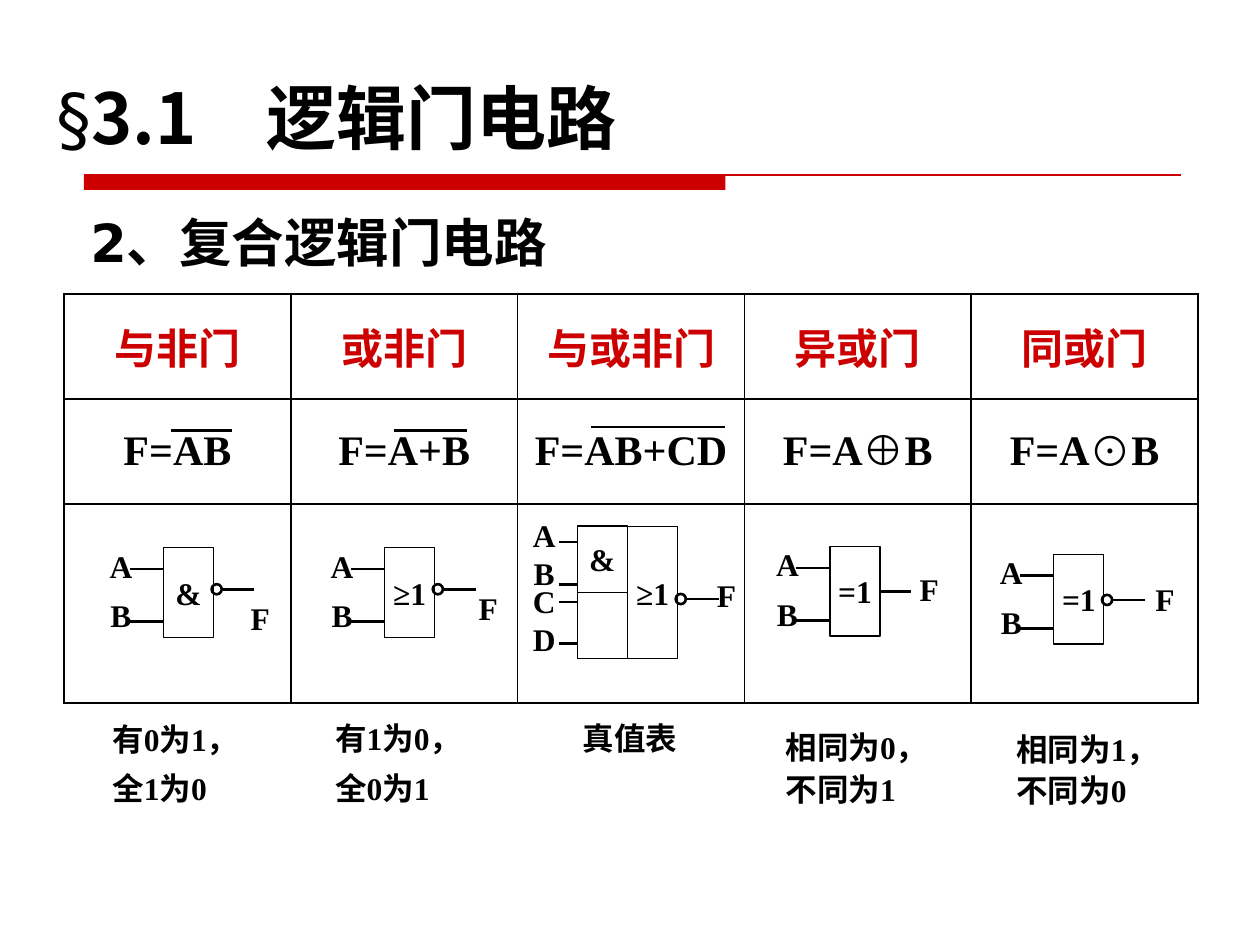
"""Build the slide on compound logic gates: a table of gates with their symbols."""
from dataclasses import dataclass

import lxml.etree
import pptx
import pptx.dml.color
import pptx.enum.shapes
import pptx.enum.text
import pptx.oxml.ns
import pptx.util

Pt = pptx.util.Pt
RGB = pptx.dml.color.RGBColor
SHAPE = pptx.enum.shapes.MSO_SHAPE
ALIGN = pptx.enum.text.PP_ALIGN
ANCHOR = pptx.enum.text.MSO_ANCHOR
qn = pptx.oxml.ns.qn


@dataclass(frozen=True)
class Theme:
    black: RGB = RGB(0, 0, 0)
    red: RGB = RGB(0xCC, 0, 0)
    serif: str = "Times New Roman"
    sans: str = "DejaVu Sans"
    cjk: str = "Noto Sans CJK SC"
    title: int = 40
    subtitle: int = 30
    cell: int = 24
    label: int = 18
    thin: float = 0.75
    grid: float = 1
    wire: float = 1.5


def apply(obj, values):
    for name, value in values.items():
        setattr(obj, name, value)


class Deck:
    def __init__(self, theme):
        self.theme = theme
        self.prs = pptx.Presentation()
        apply(self.prs, {"slide_width": Pt(720), "slide_height": Pt(540)})
        self.s = self.prs.slides.add_slide(self.prs.slide_layouts[6])

    def fill_text(self, tf, paragraphs, para=None, gap=0, **font):
        base = {"name": self.theme.serif, "size": Pt(self.theme.label), "bold": True}
        for i, runs in enumerate(paragraphs):
            p = tf.paragraphs[0] if i == 0 else tf.add_paragraph()
            apply(p, para or {})
            if i:
                p.space_before = Pt(gap)
            for text, own in [(runs, {})] if isinstance(runs, str) else runs:
                r = p.add_run()
                r.text = text
                values = {**base, **font, **own}
                r.font.color.rgb = values.pop("color", self.theme.black)
                apply(r.font, values)

    def text(self, x, y, w, h, paragraphs, anchor=ANCHOR.TOP, **style):
        tf = self.s.shapes.add_textbox(Pt(x), Pt(y), Pt(w), Pt(h)).text_frame
        apply(tf, {"word_wrap": True, "vertical_anchor": anchor})
        self.fill_text(tf, paragraphs, **style)

    def letters(self, x, y, names, spacing=0.8):
        self.text(x, y, 31, 53 if len(names) > 1 else 24.5, names, gap=11.2,
                  para={"alignment": ALIGN.CENTER, "line_spacing": spacing})

    def shape(self, kind, x, y, w, h, width, label=""):
        sp = self.s.shapes.add_shape(kind, Pt(x), Pt(y), Pt(w), Pt(h))
        sp.shadow.inherit = False
        sp.fill.background()
        sp.line.color.rgb = self.theme.black
        sp.line.width = Pt(width)
        if label:
            apply(sp.text_frame, {"word_wrap": False, "vertical_anchor": ANCHOR.MIDDLE})
            self.fill_text(sp.text_frame, [label], para={"alignment": ALIGN.CENTER})
        return sp

    def line(self, x1, x2, y, width=None, color=None):
        kind = pptx.enum.shapes.MSO_CONNECTOR.STRAIGHT
        c = self.s.shapes.add_connector(kind, Pt(x1), Pt(y), Pt(x2), Pt(y))
        c.line.color.rgb = color or self.theme.black
        c.line.width = Pt(width or self.theme.wire)
        lxml.etree.SubElement(c._element.spPr, qn("a:effectLst"))
        return c

    def bar(self, x, y, w, h, color):
        sp = self.shape(SHAPE.RECTANGLE, x, y, w, h, self.theme.thin)
        sp.fill.solid()
        sp.fill.fore_color.rgb = color
        sp.line.fill.background()

    def border(self, cell):
        pr = cell._tc.get_or_add_tcPr()
        for side in ("lnL", "lnR", "lnT", "lnB"):
            ln = lxml.etree.SubElement(pr, qn("a:" + side), w=str(Pt(self.theme.grid)))
            fill = lxml.etree.SubElement(ln, qn("a:solidFill"))
            lxml.etree.SubElement(fill, qn("a:srgbClr"), val=str(self.theme.black))

    def table(self, x, y, col, heights, rows, colors):
        n = len(rows[0])
        frame = self.s.shapes.add_table(len(heights), n, Pt(x), Pt(y),
                                        Pt(col * n), Pt(sum(heights)))
        tbl = frame.table
        apply(tbl, {"first_row": False, "horz_banding": False})
        for c in tbl.columns:
            c.width = Pt(col)
        for i, height in enumerate(heights):
            tbl.rows[i].height = Pt(height)
            for j in range(n):
                cell = tbl.cell(i, j)
                self.border(cell)
                cell.fill.background()
                cell.vertical_anchor = ANCHOR.MIDDLE
                if i < len(rows):
                    self.fill_text(cell.text_frame, [rows[i][j]], color=colors[i],
                                   size=Pt(self.theme.cell),
                                   para={"alignment": ALIGN.CENTER})

    def inputs(self, x, y, names, wires, length, spacing=0.8):
        for dy in wires:
            self.line(x - length, x, y + dy)
        self.letters(x - length - 20.6 if length > 15 else x - 34.4, y, names, spacing)

    def gate(self, x, y, h, label, f_at, out=None):
        body = self.shape(SHAPE.RECTANGLE, x, y, 28.6, h, self.theme.thin, label)
        if out is None:
            self.line(x + 28.6, x + 46, y + h / 2).begin_connect(body, 3)
        else:
            self.shape(SHAPE.OVAL, x + 27.5, y + out - 2.9, 5.8, 5.8, self.theme.wire)
            self.line(x + 34, x + 52, y + out)
        self.letters(*f_at, ["F"])


def main():
    t = Theme()
    d = Deck(t)
    d.bar(48, 100, 366.6, 8.6, t.red)
    d.line(48, 674.8, 100, t.thin, t.red)
    d.text(25.2, 24.5, 694.8, 69.8, [[
        ("§", {"name": t.sans, "bold": False}),
        ("3.1　", {"name": t.cjk}), ("逻辑门电路", {"name": t.sans})]],
        anchor=ANCHOR.BOTTOM, size=Pt(t.title))
    d.text(44.6, 116.6, 630, 48, ["2、复合逻辑门电路"], name=t.sans, size=Pt(t.subtitle))

    names = ["与非门", "或非门", "与或非门", "异或门", "同或门"]
    formulas = ["F=AB", "F=A+B", "F=AB+CD", "F=A⊕B", "F=A⊙B"]
    d.table(36.6, 168, 129.6, [60, 60, 113.8], [names, formulas], [t.red, t.black])
    for x1, x2, y in [(98, 132.5, 246), (225.4, 267, 246), (337.7, 414, 244)]:
        d.line(x1, x2, y)

    for x, y, label, f_at, out in [
            (93.4, 313, "&", (133.2, 342.7), 23.7),
            (219.8, 313, "≥1", (263.5, 337), 23.7),
            (474.3, 312.3, "=1", (515.5, 326.2), None),
            (602.2, 316.8, "=1", (650.2, 331.9), 26)]:
        d.gate(x, y, 51.2, label, f_at, out)
        d.inputs(x, y, ["A", "B"], (12.2, 42.2), 19.2)

    d.gate(358.6, 300.8, 75.6, "≥1", (399.6, 329.8), 41.5)
    for y, label, pair, wires in [(300.5, "&", ["A", "B"], (9.2, 33.4)),
                                  (338.4, "", ["C", "D"], (5.6, 29.5))]:
        d.shape(SHAPE.RECTANGLE, 329.9, y, 28.6, 38, t.thin, label)
        d.inputs(329.9, y, pair, wires, 10.5, 0.5)

    left, center = ALIGN.LEFT, ALIGN.CENTER
    for x, y, w, lines, spacing, align in [
            (57.1, 411.8, 92, ["有0为1，", "全1为0"], 0.8, left),
            (184.4, 411.3, 91.5, ["有1为0，", "全0为1"], 0.8, left),
            (295.2, 411.3, 129.6, ["真值表"], 0.8, center),
            (441.8, 410.4, 105, ["相同为0，不同为1"], 1.1, left),
            (573.8, 411.2, 103.7, ["相同为1，不同为0"], 1.1, left)]:
        d.text(x, y, w, 54, lines, gap=11.2,
               para={"alignment": align, "line_spacing": spacing})
    d.prs.save("out.pptx")


if __name__ == "__main__":
    main()
